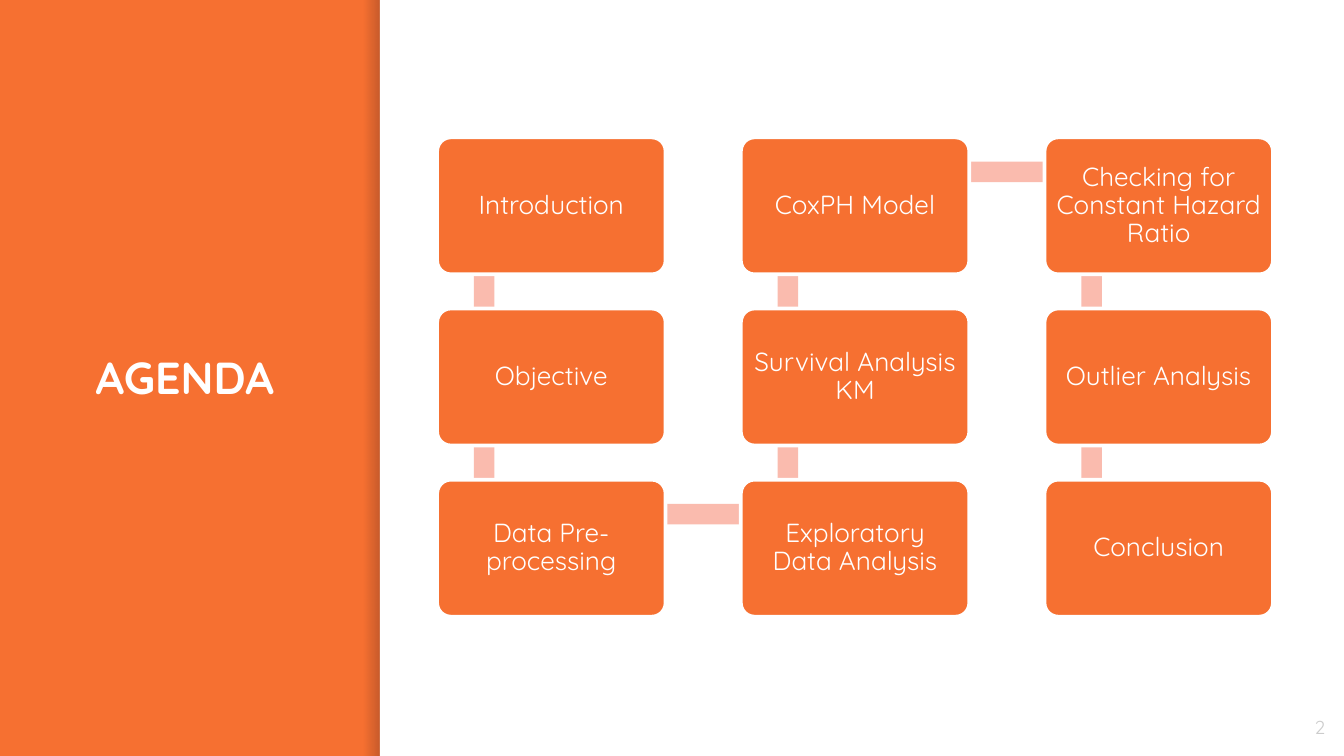
from dataclasses import dataclass
from itertools import pairwise

from lxml import etree
from pptx import Presentation
from pptx.dml.color import RGBColor
from pptx.enum import shapes, text
from pptx.oxml.ns import qn
from pptx.util import Pt


@dataclass(frozen=True)
class Theme:
    font: str = "Quicksand"
    orange: RGBColor = RGBColor(0xF6, 0x70, 0x31)
    pink: RGBColor = RGBColor(0xFA, 0xBB, 0xAE)
    white: RGBColor = RGBColor(0xFF, 0xFF, 0xFF)
    grey: RGBColor = RGBColor(0xCC, 0xCC, 0xCC)
    shade: RGBColor = RGBColor(0x00, 0x00, 0x14)
    title_size: float = 24
    card_size: float = 14
    number_size: float = 10


@dataclass(frozen=True)
class Box:
    left: float
    top: float
    width: float
    height: float

    def lengths(self):
        return Pt(self.left), Pt(self.top), Pt(self.width), Pt(self.height)


THEME = Theme()
WIDTH, HEIGHT = 720, 405
PANEL_LEFT = 203.5

# Each step is a column, a row and a label; the path snakes through the grid.
STEPS = [
    (0, 0, "Introduction"),
    (0, 1, "Objective"),
    (0, 2, "Data Pre-processing"),
    (1, 2, "Exploratory Data Analysis"),
    (1, 1, "Survival Analysis KM"),
    (1, 0, "CoxPH Model"),
    (2, 0, "Checking for Constant Hazard Ratio"),
    (2, 1, "Outlier Analysis"),
    (2, 2, "Conclusion"),
]


def add_block(slide, box, color, kind=shapes.MSO_SHAPE.RECTANGLE):
    shape = slide.shapes.add_shape(kind, *box.lengths())
    shape.shadow.inherit = False
    shape.fill.solid()
    shape.fill.fore_color.rgb = color
    shape.line.fill.background()
    return shape


def write(shape, words, size, color, align, inset, bold=False):
    """Fill a shape with one vertically centred, wrapped paragraph."""
    frame = shape.text_frame
    frame.word_wrap = True
    frame.auto_size = text.MSO_AUTO_SIZE.NONE
    frame.vertical_anchor = text.MSO_ANCHOR.MIDDLE
    frame.margin_left = frame.margin_right = Pt(inset)
    frame.margin_top = frame.margin_bottom = Pt(inset)
    paragraph = frame.paragraphs[0]
    paragraph.alignment = align
    run = paragraph.add_run()
    run.text = words
    run.font.name = THEME.font
    run.font.size = Pt(size)
    run.font.bold = bold
    run.font.color.rgb = color
    return paragraph


def add_edge_shadow(slide, box):
    shape = add_block(slide, box, THEME.shade)
    shape.fill.gradient()
    shape.fill.gradient_angle = 0
    for stop, position, opacity in zip(shape.fill.gradient_stops, (0, 1), (0, 20)):
        stop.position = position
        stop.color.rgb = THEME.shade
    for color, opacity in zip(shape.element.spPr.iter(qn("a:srgbClr")), (0, 20)):
        etree.SubElement(color, qn("a:alpha"), val=str(opacity * 1000))


def add_title(slide, box):
    title = slide.shapes.title
    title.left, title.top, title.width, title.height = box.lengths()
    write(title, "AGENDA", THEME.title_size, THEME.white,
          text.PP_ALIGN.CENTER, 7.2, bold=True)


def add_page_number(slide, box):
    number = slide.shapes.add_textbox(*box.lengths())
    write(number, "2", THEME.number_size, THEME.grey, text.PP_ALIGN.RIGHT, 7.2)


def add_link(slide, start, end, thickness):
    """Draw a bar between two points that share a row or a column."""
    (x1, y1), (x2, y2) = start, end
    half = thickness / 2
    if x1 == x2:
        box = Box(x1 - half, min(y1, y2), thickness, abs(y2 - y1))
    else:
        box = Box(min(x1, x2), y1 - half, abs(x2 - x1), thickness)
    add_block(slide, box, THEME.pink)


def add_card(slide, box, label):
    card = add_block(slide, box, THEME.orange, shapes.MSO_SHAPE.ROUNDED_RECTANGLE)
    card.adjustments[0] = 0.1
    card.line.color.rgb = THEME.white
    card.line.width = Pt(2)
    paragraph = write(card, label, THEME.card_size, THEME.white,
                      text.PP_ALIGN.CENTER, 4.3)
    paragraph.line_spacing = 0.9


def add_agenda_path(slide, box):
    card_width, card_height = 122.4, 73.4
    column_step = (box.width - card_width) / 2
    row_step = (box.height - card_height) / 2
    cards = [
        Box(box.left + column * column_step, box.top + row * row_step,
            card_width, card_height)
        for column, row, label in STEPS
    ]
    anchors = [(card.left + 25.2, card.top + 18.5) for card in cards]
    for start, end in pairwise(anchors):
        add_link(slide, start, end, thickness=11)
    for card, (column, row, label) in zip(cards, STEPS):
        add_card(slide, card, label)


def main():
    presentation = Presentation()
    presentation.slide_width, presentation.slide_height = Pt(WIDTH), Pt(HEIGHT)
    slide = presentation.slides.add_slide(presentation.slide_layouts[5])
    slide.background.fill.solid()
    slide.background.fill.fore_color.rgb = THEME.orange

    add_edge_shadow(slide, Box(PANEL_LEFT - 9, 0, 9, HEIGHT))
    add_block(slide, Box(PANEL_LEFT, 0, WIDTH - PANEL_LEFT, HEIGHT), THEME.white)
    add_title(slide, Box(18.5, 45.5, 161, 313))
    add_page_number(slide, Box(674, 374, 43, 31))
    add_agenda_path(slide, Box(234.2, 73.6, 447.8, 256.8))
    presentation.save("out.pptx")


if __name__ == "__main__":
    main()
